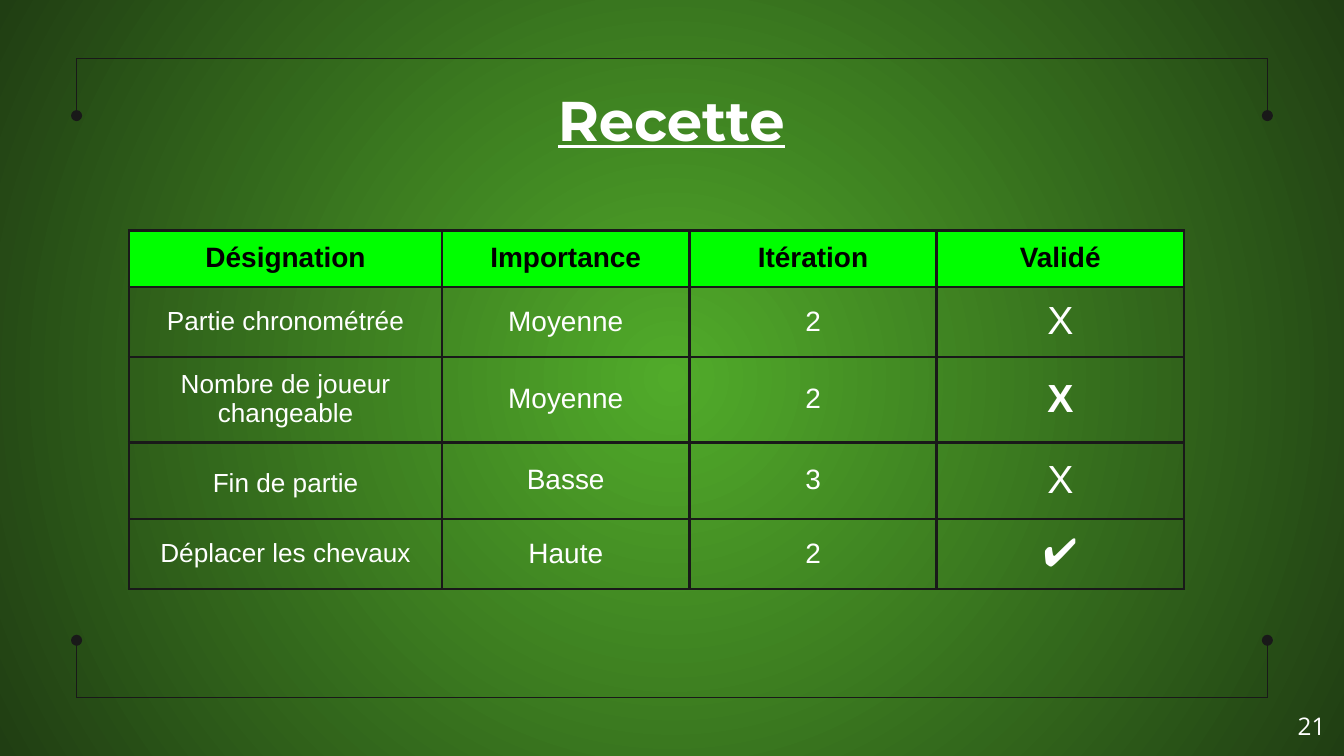
from itertools import product

from lxml.etree import SubElement
from pptx import Presentation
from pptx.dml.color import RGBColor
from pptx.enum.shapes import MSO_CONNECTOR
from pptx.enum.text import MSO_ANCHOR, PP_ALIGN
from pptx.oxml.ns import qn
from pptx.util import Inches, Pt

WIDTH = 10
HEIGHT = WIDTH * 9 / 16
COLORS = {
    "center": "51AB2A",
    "edge": "203E13",
    "line": "191919",
    "header": "00FF00",
    "dark": "000000",
    "light": "FFFFFF",
}
HEADINGS = ["Désignation", "Importance", "Itération", "Validé"]
ROWS = [
    ["Partie chronométrée", "Moyenne", "2", "X"],
    ["Nombre de joueur changeable", "Moyenne", "2", "X"],
    ["Fin de partie", "Basse", "3", "X"],
    ["Déplacer les chevaux", "Haute", "2", "✔"],
]
COLUMN_SIZES = [14, 15, 15, 21]
COLUMN_WIDTHS = [2.33, 1.84, 1.84, 1.84]
ROW_HEIGHTS = [0.31, 0.42, 0.42, 0.57, 0.42]
BOLD_CELL = (2, 3)
SPACED_CELL = (3, 0)


def color(name):
    return RGBColor.from_string(COLORS[name])


class SlideBuilder:
    """Holds the style and the slide; places are shares of the slide's size."""

    def __init__(self, slide):
        self.slide = slide
        self.body_font = "Arial"
        self.inset = Inches(0.1)

    def place(self, x, y):
        return Inches(x * WIDTH), Inches(y * HEIGHT)

    def background(self):
        fill = self.slide.background.fill
        fill.gradient()
        for stop, name in zip(fill.gradient_stops, ("center", "edge")):
            stop.color.rgb = color(name)
        fill.gradient_stops[0].position = 0
        fill.gradient_stops[1].position = 1
        gradient = self.slide.element.find(".//" + qn("a:gradFill"))
        gradient.remove(gradient.find(qn("a:lin")))
        radial = SubElement(gradient, qn("a:path"), path="circle")
        SubElement(radial, qn("a:fillToRect"), l="50000", t="50000", r="50000", b="50000")

    def line(self, start, end, dot=False):
        connector = self.slide.shapes.add_connector(
            MSO_CONNECTOR.STRAIGHT, *self.place(*start), *self.place(*end))
        connector.line.color.rgb = color("line")
        connector.line.width = Pt(0.75)
        if dot:
            SubElement(connector.line._get_or_add_ln(), qn("a:tailEnd"), type="oval")
        SubElement(connector._element.spPr, qn("a:effectLst"))

    def style(self, paragraph, font, size, name="light", bold=False, align=PP_ALIGN.CENTER):
        paragraph.alignment = align
        paragraph.font.name = font
        paragraph.font.size = Pt(size)
        paragraph.font.bold = bold
        paragraph.font.color.rgb = color(name)

    def text(self, words, x, y, width, height, font, size, anchor=MSO_ANCHOR.TOP, **look):
        box = self.slide.shapes.add_textbox(*self.place(x, y), *self.place(width, height))
        frame = box.text_frame
        frame.word_wrap = True
        frame.vertical_anchor = anchor
        frame.margin_left = frame.margin_right = self.inset
        frame.margin_top = frame.margin_bottom = self.inset
        paragraph = frame.paragraphs[0]
        paragraph.text = words
        self.style(paragraph, font, size, **look)
        return paragraph

    def cell(self, cell, words, size, fill=None, name="light", bold=False):
        cell.text = words
        cell.vertical_anchor = MSO_ANCHOR.MIDDLE
        cell.margin_left = cell.margin_right = self.inset
        cell.margin_top, cell.margin_bottom = Inches(0.08), Inches(0.09)
        self.style(cell.text_frame.paragraphs[0], self.body_font, size, name, bold)
        properties = cell._tc.get_or_add_tcPr()
        for side in ("lnL", "lnR", "lnT", "lnB"):
            border = SubElement(properties, qn("a:" + side), w=str(Pt(1.5)))
            solid = SubElement(border, qn("a:solidFill"))
            SubElement(solid, qn("a:srgbClr"), val=COLORS["line"])
        if fill:
            cell.fill.solid()
            cell.fill.fore_color.rgb = color(fill)
        else:
            cell.fill.background()

    def table(self, x, y):
        table = self.slide.shapes.add_table(
            len(ROWS) + 1, len(HEADINGS), *self.place(x, y),
            Inches(sum(COLUMN_WIDTHS)), Inches(sum(ROW_HEIGHTS))).table
        table.first_row = table.horz_banding = False
        for column, width in zip(table.columns, COLUMN_WIDTHS):
            column.width = Inches(width)
        for row, height in zip(table.rows, ROW_HEIGHTS):
            row.height = Inches(height)
        for column, heading in enumerate(HEADINGS):
            self.cell(table.cell(0, column), heading, 15, "header", "dark", True)
        for row, values in enumerate(ROWS, 1):
            for column, (words, size) in enumerate(zip(values, COLUMN_SIZES)):
                self.cell(table.cell(row, column), words, size,
                          bold=(row, column) == BOLD_CELL)
        table.cell(*SPACED_CELL).text_frame.paragraphs[0].line_spacing = 1.2


def main():
    presentation = Presentation()
    presentation.slide_width = Inches(WIDTH)
    presentation.slide_height = Inches(HEIGHT)
    builder = SlideBuilder(presentation.slides.add_slide(presentation.slide_layouts[6]))
    builder.background()

    # Open frame with a dot at each end
    left, top, drop = 0.057, 0.077, 0.076
    right, bottom = 1 - left, 1 - top
    for y in (top, bottom):
        builder.line((left, y), (right, y))
    for x, (y, step) in product((left, right), ((top, drop), (bottom, -drop))):
        builder.line((x, y), (x, y + step), dot=True)

    # Title and page number
    title = builder.text("Recette", 0.078, 0.101, 0.843, 0.112, "Montserrat", 30,
                         MSO_ANCHOR.MIDDLE, bold=True)
    title.font.underline = True
    builder.text("21", 0.936, 0.923, 0.06, 0.077, "Open Sans", 13, align=PP_ALIGN.RIGHT)

    # Acceptance table
    builder.table(0.096, 0.305)
    presentation.save("out.pptx")


if __name__ == "__main__":
    main()
